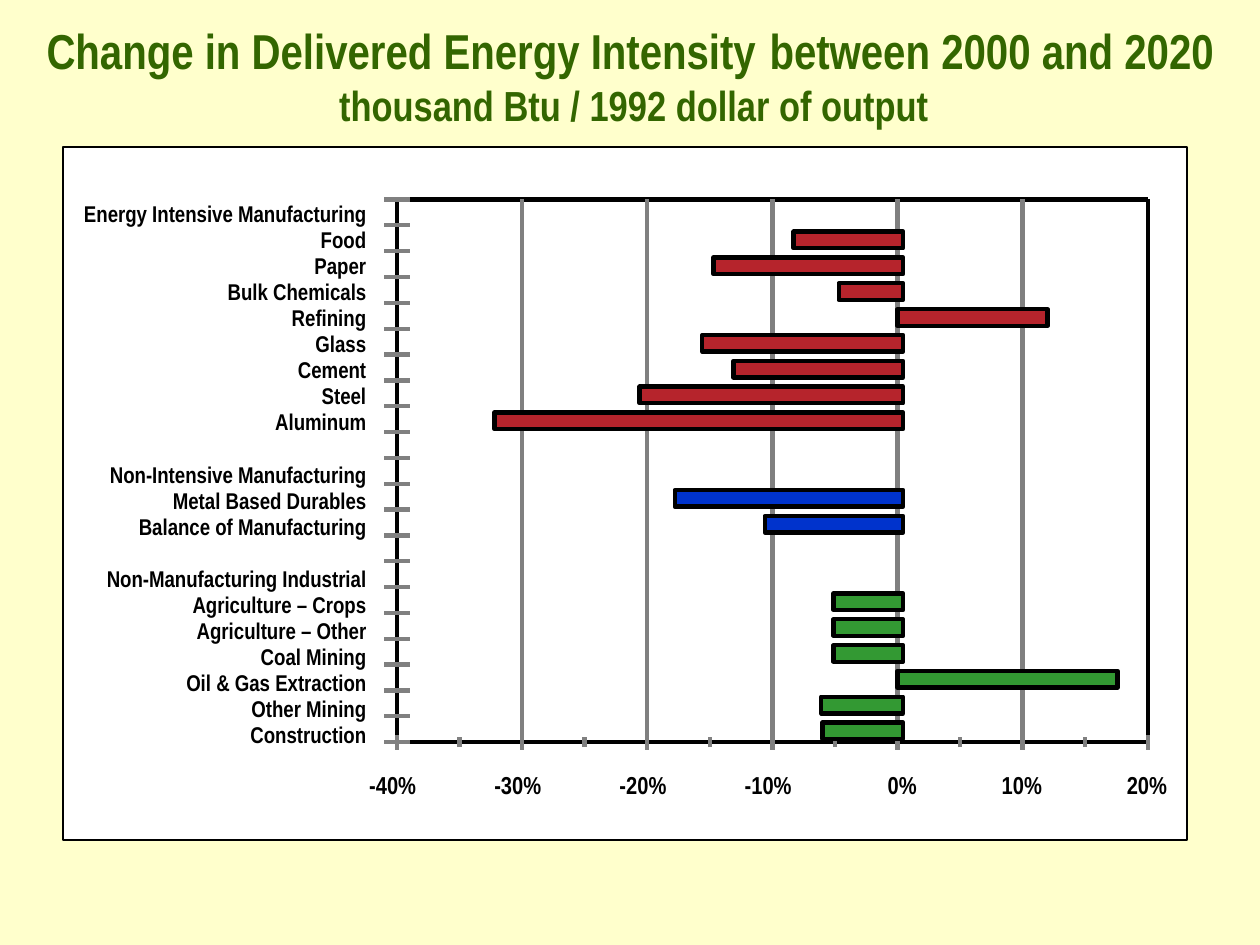
"""Build a one-page bar diagram of energy intensity changes by industry."""
from lxml import etree
from pptx import Presentation
from pptx import util as u
from pptx.dml.color import RGBColor
from pptx.enum import shapes, text
from pptx.oxml.ns import qn

COLOURS = {
    "page": "FFFFCC", "title": "336600", "panel": "FFFFFF", "ink": "000000",
    "grid": "808080", "intensive": "B6242C", "other": "0033CC", "industrial": "339933",
}
GROUPS = [
    ("Energy Intensive Manufacturing", "intensive", [
        ("Food", -8.3), ("Paper", -14.7), ("Bulk Chemicals", -4.7), ("Refining", 12),
        ("Glass", -15.6), ("Cement", -13.1), ("Steel", -20.6), ("Aluminum", -32.2)]),
    ("Non-Intensive Manufacturing", "other", [
        ("Metal Based Durables", -17.8), ("Balance of Manufacturing", -10.6)]),
    ("Non-Manufacturing Industrial", "industrial", [
        ("Agriculture – Crops", -5.1), ("Agriculture – Other", -5.1), ("Coal Mining", -5.1),
        ("Oil & Gas Extraction", 17.6), ("Other Mining", -6.1), ("Construction", -6)]),
]
LOW, HIGH, STEP = -40, 20, 10
LEFT, RIGHT, TOP, BOTTOM = 226.8, 655.9, 114, 424.1
ROWS = sum(len(items) + 1 for _, _, items in GROUPS) + len(GROUPS) - 1
ROW_HEIGHT = (BOTTOM - TOP) / ROWS
LABEL_PITCH = 14.9
OVERHANG = 3.2


def colour(name):
    """Return the named colour."""
    return RGBColor.from_string(COLOURS[name])


def x_at(percent):
    """Return the horizontal place of a percentage."""
    return LEFT + (percent - LOW) / (HIGH - LOW) * (RIGHT - LEFT)


def add_span(para, words, size=13, font="Arial Narrow", ink="ink"):
    """Add one formatted bold span to a paragraph."""
    span = para.add_run()
    span.text = words
    span.font.size = u.Pt(size)
    span.font.name = font
    span.font.bold = True
    span.font.color.rgb = colour(ink)


class Painter:
    """Hold the style and the current page."""

    def __init__(self, page, line_width=2.5):
        """Keep the page and the usual line width."""
        self.page = page
        self.line_width = line_width

    def rect(self, left, top, width, height, fill, line_width=None):
        """Draw a filled rectangle with a dark outline."""
        box = self.page.shapes.add_shape(
            shapes.MSO_SHAPE.RECTANGLE, u.Pt(left), u.Pt(top), u.Pt(width), u.Pt(height))
        box.shadow.inherit = False
        box.fill.solid()
        box.fill.fore_color.rgb = colour(fill)
        box.line.color.rgb = colour("ink")
        box.line.width = u.Pt(line_width or self.line_width)

    def line(self, x1, y1, x2, y2, ink="grid"):
        """Draw a straight line."""
        line = self.page.shapes.add_connector(
            shapes.MSO_CONNECTOR.STRAIGHT, u.Pt(x1), u.Pt(y1), u.Pt(x2), u.Pt(y2))
        line.line.color.rgb = colour(ink)
        line.line.width = u.Pt(self.line_width)
        etree.SubElement(line._element.spPr, qn("a:effectLst"))

    def words(self, left, top, width, height, spans, align, margins=(0, 0), wrap=True):
        """Write one paragraph made of formatted spans."""
        box = self.page.shapes.add_textbox(u.Pt(left), u.Pt(top), u.Pt(width), u.Pt(height))
        frame = box.text_frame
        frame.word_wrap = wrap
        frame.vertical_anchor = text.MSO_ANCHOR.MIDDLE if not wrap else text.MSO_ANCHOR.TOP
        frame.margin_left = frame.margin_right = u.Pt(margins[0])
        frame.margin_top = frame.margin_bottom = u.Pt(margins[1])
        para = frame.paragraphs[0]
        para.alignment = align
        for words, style in spans:
            add_span(para, words, **style)


def draw_headings(painter):
    """Write the title and the unit line."""
    style = {"size": 28, "ink": "title"}
    centre = text.PP_ALIGN.CENTER
    painter.words(18, 0, 684, 54, [
        ("Change in Delivered Energy Intensity", style),
        (" ", {"size": 32, "font": "Roboto", "ink": "title"}),
        ("between 2000 and 2020", style)], centre, (7.2, 3.6), wrap=False)
    painter.words(186.5, 42, 351.4, 36, [
        ("thousand Btu / 1992 dollar of output", {"size": 24, "ink": "title"})],
        centre, (7.2, 3.6), wrap=False)


def draw_axes(painter):
    """Draw the panel, plot border, grid, ticks and percentages."""
    painter.rect(36, 84.2, 642.2, 396, "panel", 1)
    corners = [(LEFT, TOP), (LEFT, BOTTOM), (RIGHT, BOTTOM), (RIGHT, TOP)]
    for start, end in zip(corners, corners[1:] + corners[:1]):
        painter.line(*start, *end, ink="ink")
    for percent in range(LOW, HIGH + 1, STEP // 2):
        x = x_at(percent)
        major = percent % STEP == 0
        reach = 4.3 if major else 2.9
        painter.line(x, BOTTOM + reach, x, BOTTOM - reach)
        if major:
            painter.words(x - 29, 440, 40, 16.6, [(f"{percent}%", {"size": 14})],
                          text.PP_ALIGN.RIGHT)
        if major and LOW < percent < HIGH:
            painter.line(x, BOTTOM, x, TOP)
    for row in range(ROWS + 1):
        y = TOP + row * ROW_HEIGHT
        painter.line(LEFT - 7.2, y, LEFT + 7.2, y)


def draw_row(painter, row, label, value=None, fill=None):
    """Write a row label and draw its bar when it has a value."""
    painter.words(40, TOP + row * LABEL_PITCH, 169.2, 15.8, [(label, {})],
                  text.PP_ALIGN.RIGHT)
    if value is not None:
        start = x_at(min(value, 0))
        end = x_at(value) if value > 0 else x_at(0) + OVERHANG
        painter.rect(start, TOP + row * ROW_HEIGHT + 3.6, end - start, 9.5, fill)


def main():
    """Build and save the deck."""
    deck = Presentation()
    deck.slide_width, deck.slide_height = u.Pt(720), u.Pt(540)
    page = deck.slides.add_slide(deck.slide_layouts[6])
    page.background.fill.solid()
    page.background.fill.fore_color.rgb = colour("page")
    painter = Painter(page)
    draw_headings(painter)
    draw_axes(painter)
    row = 0
    for heading, fill, items in GROUPS:
        draw_row(painter, row, heading)
        for offset, (label, value) in enumerate(items, 1):
            draw_row(painter, row + offset, label, value, fill)
        row += len(items) + 2
    deck.save("out.pptx")


if __name__ == "__main__":
    main()
